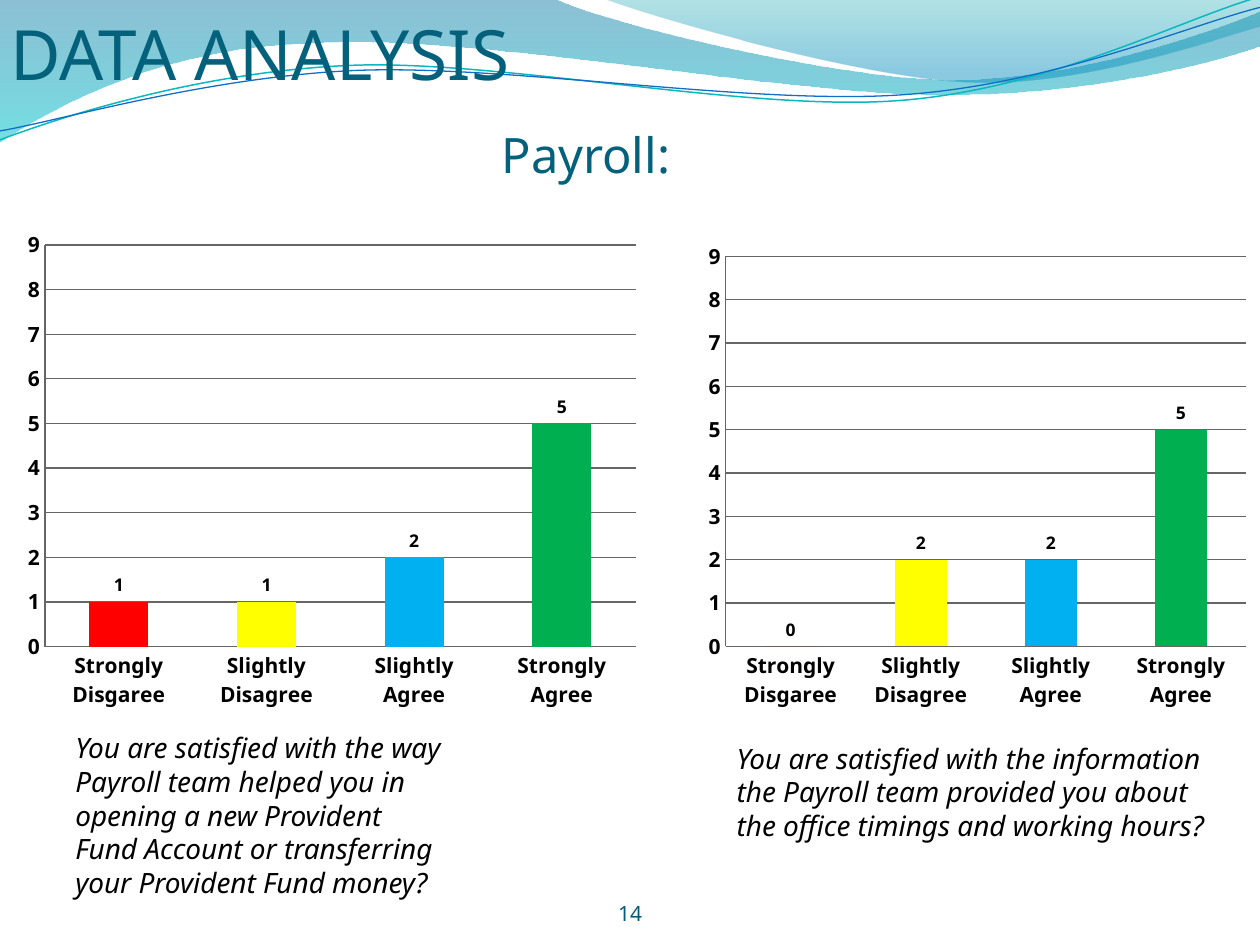
import lxml.etree
import pptx
import pptx.chart.data
import pptx.dml.color
import pptx.enum.chart
import pptx.enum.text
import pptx.oxml
import pptx.oxml.ns
import pptx.util

Cm, Pt = pptx.util.Cm, pptx.util.Pt
rgb = pptx.dml.color.RGBColor.from_string
qn = pptx.oxml.ns.qn


class Theme:
    font = "Noto Sans"
    heading, number, ink, grid = "04617B", "045D75", "000000", "666666"
    answers = ["FF0000", "FFFF00", "00B0F0", "00B050"]
    title_size, gap_size, subtitle_size, question_size = 39.6, 45, 27.9, 16
    axis_size, label_size = 12, 10


def style(font, size, color, bold=False, italic=False):
    font.name, font.size = Theme.font, Pt(size)
    font.bold, font.italic = bold, italic
    font.color.rgb = rgb(color)


def trace(start, steps, closed):
    """Draw an outline of points (2 numbers) and Bezier curves (6 numbers), in cm."""
    points = [(Cm(x), Cm(y)) for step in steps for x, y in zip(step[::2], step[1::2])]
    builder = slide.shapes.build_freeform(Cm(start[0]), Cm(start[1]))
    builder.add_line_segments(points, close=closed)
    outline = builder.convert_to_shape()
    outline.shadow.inherit = False
    # Join each group of three points into one cubic curve
    segments = iter(list(outline._element.iter(qn("a:lnTo"))))
    for step in steps:
        group = [next(segments) for _ in step[::2]]
        if len(group) == 3:
            group[0].tag = qn("a:cubicBezTo")
            for control in group[1:]:
                group[0].append(control[0])
                control.getparent().remove(control)
    return outline


deck = pptx.Presentation()
deck.slide_width, deck.slide_height = Cm(25.4), Cm(19.05)
slide = deck.slides.add_slide(deck.slide_layouts[6])

# Translucent bands along the top: start, steps, (position, colour, opacity) stops
bands = [
    ((0, 0),
     [(11.18, -0.03), (12.09, 0.43, 16.87, 1.6, 19.25, 1.6),
      (21.67, 1.6, 24.33, 0.66, 25.4, 0.23), (25.43, 0.91),
      (24.97, 1.12, 22.1, 1.93, 18.95, 1.91),
      (15.8, 1.91, 9.7, 0.71, 6.53, 0.86),
      (3.28, 0.91, 1.17, 2.11, -0.03, 2.87)],
     [(0, "0074A1", 45), (100, "00C6CF", 55)]),
    ((12.17, -0.03),
     [(12.93, 0.28, 17.32, 1.57, 19.53, 1.65),
      (21.74, 1.75, 24.41, 0.81, 25.4, 0.53), (25.4, 0)],
     [(0, "00A1A9", 30), (80, "008BBF", 45)]),
]
for start, steps, stops in bands:
    band = trace(start, steps, True)
    band.line.fill.background()
    band.fill.gradient()
    band.fill.gradient_angle = 270
    for stop, (position, color, opacity) in zip(band.fill.gradient_stops, stops):
        stop.position = position / 100
        stop.color.rgb = rgb(color)
    for tint, (position, color, opacity) in zip(band._element.spPr.iter(qn("a:srgbClr")), stops):
        lxml.etree.SubElement(tint, qn("a:alpha")).set("val", str(opacity * 1000))

# Thin waves across the bands
waves = [
    ((0, 2.82), [(1.22, 2.36, 4.01, 1.45, 7.04, 1.32),
                 (10.03, 1.19, 15.06, 2.26, 18.11, 2.03),
                 (21.16, 1.8, 23.83, 0.38, 25.35, -0.05)], "0AB8BF", 0.85),
    ((0, 2.64), [(1.19, 2.44, 4.17, 1.55, 7.19, 1.42),
                 (10.24, 1.3, 15.16, 2.13, 18.21, 1.91),
                 (21.23, 1.7, 23.9, 0.53, 25.4, 0.15)], "0F6FC6", 0.75),
]
for start, steps, color, width in waves:
    wave = trace(start, steps, False)
    wave.fill.background()
    wave.line.color.rgb = rgb(color)
    wave.line.width = Pt(width)

# Heading: a hanging indent sets the second line to the right
heading = slide.shapes.add_textbox(Cm(0.21), Cm(0.64), Cm(23.06), Cm(3.17)).text_frame
heading.word_wrap = True
heading.vertical_anchor = pptx.enum.text.MSO_ANCHOR.BOTTOM
heading.margin_left = heading.margin_right = heading.margin_bottom = 0
title = heading.paragraphs[0]
title.text = "DATA ANALYSIS \v "
title.add_run().text = "Payroll:"
for run, size in zip(title.runs, (Theme.title_size, Theme.gap_size, Theme.subtitle_size)):
    style(run.font, size, Theme.heading)
indent = Cm(9.49)
title._p.get_or_add_pPr().set("marL", str(indent))
title._p.get_or_add_pPr().set("indent", str(-indent))

# Page number
page = slide.shapes.add_textbox(Cm(11.65), Cm(17.65), Cm(2.11), Cm(1.02)).text_frame
page.margin_left = page.margin_right = page.margin_top = page.margin_bottom = 0
page.vertical_anchor = pptx.enum.text.MSO_ANCHOR.BOTTOM
page.text = "14"
page.paragraphs[0].alignment = pptx.enum.text.PP_ALIGN.CENTER
style(page.paragraphs[0].runs[0].font, Theme.axis_size, Theme.number)

# Survey questions, each with its chart of answers (plot area in percent)
answers = ["Strongly Disgaree", "Slightly Disagree", "Slightly Agree", "Strongly Agree"]
survey = [
    ("You are satisfied with the way Payroll team helped you in opening a new "
     "Provident Fund Account or transferring your Provident Fund money?",
     (1.27, 14.61, 8.05, 3.68), (1, 1, 2, 5),
     (0, 4.45, 13.13, 9.96), (6.9, 4.9, 90.7, 81.3)),
    ("You are satisfied with the information the Payroll team provided you about "
     "the office timings and working hours?",
     (14.6, 14.82, 10.03, 2.31), (0, 2, 2, 5),
     (13.55, 4.88, 11.58, 9.73), (9.3, 2.4, 90.7, 81.3)),
]
for wording, question_box, votes, chart_box, plot_box in survey:
    question = slide.shapes.add_textbox(*map(Cm, question_box)).text_frame
    question.word_wrap = True
    question.text = wording
    style(question.paragraphs[0].runs[0].font, Theme.question_size, Theme.ink, italic=True)

    results = pptx.chart.data.CategoryChartData(number_format="0")
    results.categories = answers
    results.add_series("Series 1", votes)
    chart = slide.shapes.add_chart(pptx.enum.chart.XL_CHART_TYPE.COLUMN_CLUSTERED,
                                   *map(Cm, chart_box), results).chart
    chart.has_legend = chart.has_title = False
    style(chart.font, Theme.label_size, Theme.ink)

    for axis in (chart.category_axis, chart.value_axis):
        axis.major_tick_mark = axis.minor_tick_mark = pptx.enum.chart.XL_TICK_MARK.NONE
        axis.format.line.color.rgb = rgb(Theme.grid)
        axis.format.line.width = Pt(0.75)
        style(axis.tick_labels.font, Theme.axis_size, Theme.ink, bold=True)
    scale = chart.value_axis
    scale.minimum_scale, scale.maximum_scale, scale.major_unit = 0, 9, 1
    scale.has_major_gridlines = True
    scale.major_gridlines.format.line.color.rgb = rgb(Theme.grid)
    scale.major_gridlines.format.line.width = Pt(0.75)

    plot = chart.plots[0]
    plot.gap_width = 150
    plot.vary_by_categories = False
    columns = plot.series[0]
    columns.format.fill.solid()
    columns.format.fill.fore_color.rgb = rgb(Theme.answers[0])
    for i, color in enumerate(Theme.answers[1:], 1):
        fill = columns.points[i].format.fill
        fill.solid()
        fill.fore_color.rgb = rgb(color)
    labels = columns.data_labels
    labels.show_value = True
    labels.position = pptx.enum.chart.XL_LABEL_POSITION.OUTSIDE_END
    style(labels.font, Theme.label_size, Theme.ink, bold=True)

    # Fixed inner plot area
    area = chart._chartSpace.find(".//" + qn("c:plotArea"))
    for automatic in area.findall(qn("c:layout")):
        area.remove(automatic)
    layout = pptx.oxml.parse_xml(
        f'<c:layout {pptx.oxml.ns.nsdecls("c")}><c:manualLayout/></c:layout>')
    settings = [("layoutTarget", "inner"), ("xMode", "edge"), ("yMode", "edge"),
                *((side, round(share / 100, 3)) for side, share in zip("xywh", plot_box))]
    for tag, value in settings:
        lxml.etree.SubElement(layout[0], qn("c:" + tag)).set("val", str(value))
    area.insert(0, layout)

deck.save("out.pptx")
